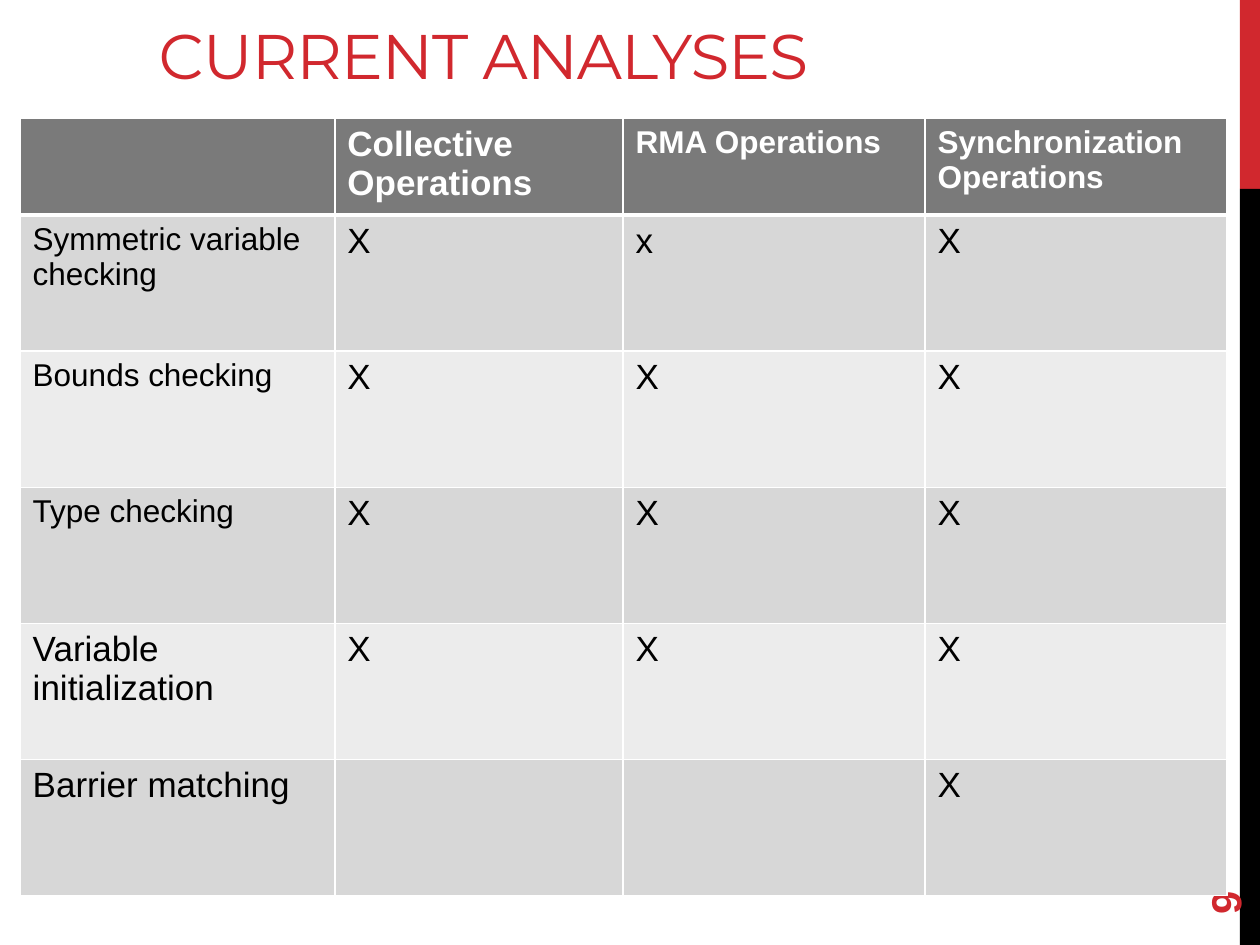
from lxml.etree import SubElement
from pptx import Presentation
from pptx.dml.color import RGBColor
from pptx.enum.shapes import MSO_SHAPE
from pptx.enum.text import MSO_ANCHOR, MSO_AUTO_SIZE, PP_ALIGN
from pptx.oxml.ns import qn
from pptx.util import Inches, Pt

RED = RGBColor(0xD1, 0x28, 0x2E)
BLACK = RGBColor(0x00, 0x00, 0x00)
WHITE = RGBColor(0xFF, 0xFF, 0xFF)
HEADER_GRAY = RGBColor(0x7A, 0x7A, 0x7A)
BAND_GRAYS = (RGBColor(0xD7, 0xD7, 0xD7), RGBColor(0xEC, 0xEC, 0xEC))

COLUMN_WIDTHS = (2.5, 2.29, 2.4, 2.4)
HEADER_HEIGHT, ROW_HEIGHT = 0.62, 1.08
HEADINGS = (("", 20), ("Collective Operations", 20),
            ("RMA Operations", 18), ("Synchronization Operations", 18))
ANALYSES = (
    ("Symmetric variable checking", 18, "XxX"),
    ("Bounds checking", 18, "XXX"),
    ("Type checking", 18, "XXX"),
    ("Variable initialization", 20, "XXX"),
    ("Barrier matching", 20, ("", "", "X")),
)


def write_text(frame, text, size, color, font="Arial", bold=False,
               anchor=MSO_ANCHOR.TOP, spacing=None):
    frame.word_wrap = True
    frame.vertical_anchor = anchor
    paragraph = frame.paragraphs[0]
    paragraph.alignment = PP_ALIGN.LEFT
    run = paragraph.add_run()
    run.text = text
    run.font.name = font
    run.font.size = Pt(size)
    run.font.bold = bold
    run.font.color.rgb = color
    if spacing is not None:
        run.font._element.set("spc", str(round(spacing * 100)))


def set_borders(cell, bottom_width):
    """Draw white cell borders, one point wide except at the bottom."""
    properties = cell._tc.get_or_add_tcPr()
    for side, width in (("L", 1), ("R", 1), ("T", 1), ("B", bottom_width)):
        line = SubElement(properties, qn(f"a:ln{side}"), w=str(Pt(width)))
        fill = SubElement(line, qn("a:solidFill"))
        SubElement(fill, qn("a:srgbClr"), val=str(WHITE))


def add_side_bar(slide, left, top, width, height):
    """Split the bar into a red fifth above a black remainder."""
    red_height = height // 5
    for color, bar_top, bar_height in ((RED, top, red_height),
                                       (BLACK, top + red_height, height - red_height)):
        bar = slide.shapes.add_shape(MSO_SHAPE.RECTANGLE, left, bar_top, width, bar_height)
        bar.shadow.inherit = False
        bar.fill.solid()
        bar.fill.fore_color.rgb = color
        bar.line.fill.background()


def add_title(slide, left, top, width, height):
    title = slide.shapes.title
    title.left, title.top, title.width, title.height = left, top, width, height
    title.text_frame.auto_size = MSO_AUTO_SIZE.NONE
    write_text(title.text_frame, "CURRENT ANALYSES", 36, RED, font="Montserrat",
               anchor=MSO_ANCHOR.BOTTOM, spacing=-0.6)


def add_page_number(slide, left, top, width, height):
    box = slide.shapes.add_textbox(left, top, width, height)
    box.rotation = 270
    write_text(box.text_frame, "9", 24, RED, bold=True, anchor=MSO_ANCHOR.MIDDLE)


def fill_cell(cell, text, size, fill, color, bold=False, bottom_width=1):
    set_borders(cell, bottom_width)
    cell.fill.solid()
    cell.fill.fore_color.rgb = fill
    if text:
        write_text(cell.text_frame, text, size, color, bold=bold)


def add_analysis_table(slide, left, top, width, height):
    table = slide.shapes.add_table(len(ANALYSES) + 1, len(HEADINGS),
                                   left, top, width, height).table
    total_height = HEADER_HEIGHT + ROW_HEIGHT * len(ANALYSES)
    for column, share in zip(table.columns, COLUMN_WIDTHS):
        column.width = round(width * share / sum(COLUMN_WIDTHS))
    for index, row in enumerate(table.rows):
        share = ROW_HEIGHT if index else HEADER_HEIGHT
        row.height = round(height * share / total_height)

    for column, (heading, size) in enumerate(HEADINGS):
        fill_cell(table.cell(0, column), heading, size, HEADER_GRAY, WHITE,
                  bold=True, bottom_width=3)
    for index, (name, size, marks) in enumerate(ANALYSES):
        band = BAND_GRAYS[index % 2]
        fill_cell(table.cell(index + 1, 0), name, size, band, BLACK)
        for column, mark in enumerate(marks, start=1):
            fill_cell(table.cell(index + 1, column), mark, 20, band, BLACK)


def main():
    presentation = Presentation()
    presentation.slide_width, presentation.slide_height = Inches(10), Inches(7.5)
    slide = presentation.slides.add_slide(presentation.slide_layouts[5])
    add_side_bar(slide, Inches(9.84), 0, Inches(0.16), presentation.slide_height)
    add_title(slide, Inches(1.16), Inches(-0.12), Inches(7.76), Inches(0.9))
    add_page_number(slide, Inches(9), Inches(6.44), Inches(1.44), Inches(0.4))
    add_analysis_table(slide, Inches(0.16), Inches(0.94), Inches(9.58), Inches(6.02))
    presentation.save("out.pptx")


if __name__ == "__main__":
    main()
